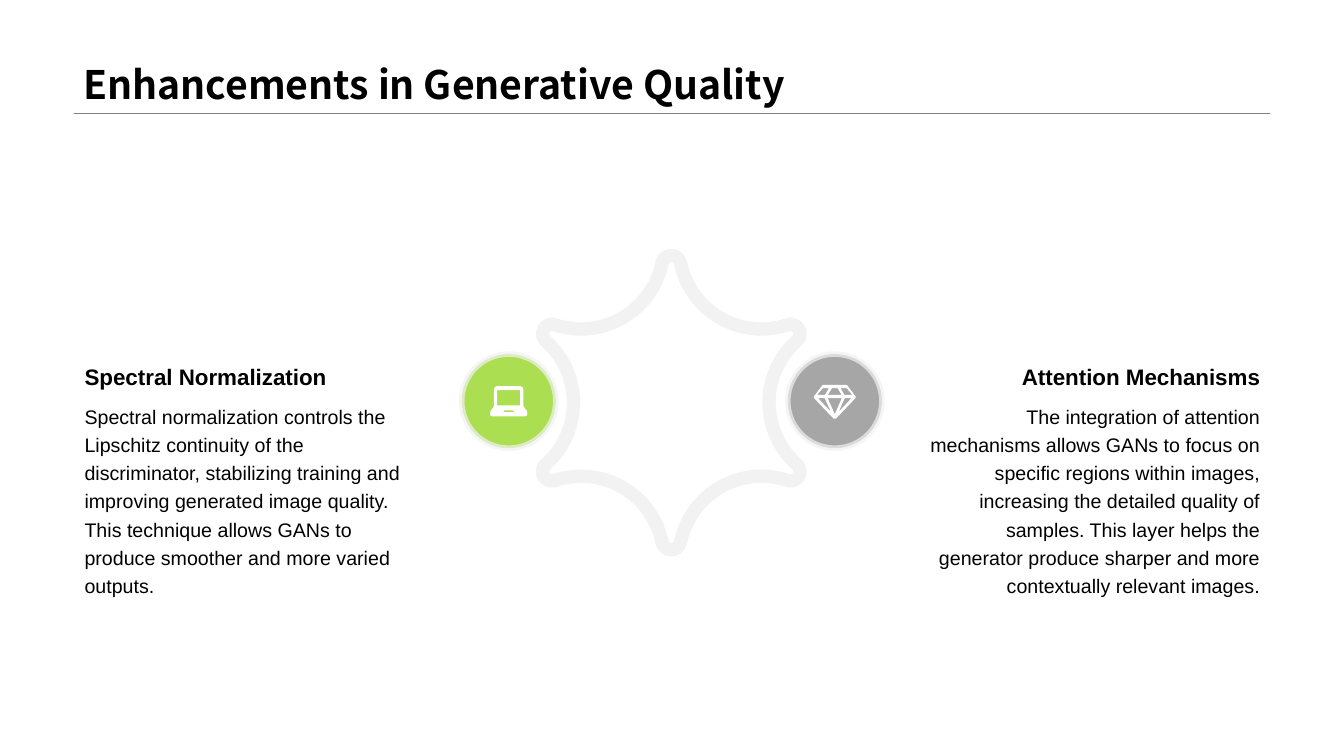
from math import atan2, cos, hypot, pi, radians, sin

from lxml.etree import SubElement
from pptx import Presentation
from pptx.dml.color import RGBColor
from pptx.enum.shapes import MSO_CONNECTOR, MSO_SHAPE
from pptx.enum.text import MSO_ANCHOR, MSO_AUTO_SIZE, PP_ALIGN
from pptx.oxml.ns import qn
from pptx.util import Pt

TITLE = "Enhancements in Generative Quality"
TOPICS = [
    {
        "heading": "Spectral Normalization",
        "body": "Spectral normalization controls the Lipschitz continuity of the "
                "discriminator, stabilizing training and improving generated image "
                "quality. This technique allows GANs to produce smoother and more "
                "varied outputs.",
        "left": 53.3, "align": PP_ALIGN.LEFT,
        "badge_x": 363.4, "color": "ABDE51", "icon": "laptop",
    },
    {
        "heading": "Attention Mechanisms",
        "body": "The integration of attention mechanisms allows GANs to focus on "
                "specific regions within images, increasing the detailed quality of "
                "samples. This layer helps the generator produce sharper and more "
                "contextually relevant images.",
        "left": 656.6, "align": PP_ALIGN.RIGHT,
        "badge_x": 596.3, "color": "A6A6A6", "icon": "diamond",
    },
]

# Right halves of icon outlines, in points from the badge centre
LAPTOP_HALVES = [
    [(8.3, -10.7), (9.8, -10), (10.5, -8.5), (10.5, 3.7), (13.1, 7.3),
     (13.3, 9.5), (12.9, 10.5), (11.7, 10.9)],
    [(8.2, -7.8), (8.2, 3)],
    [(3.2, 6.6), (3.9, 8)],
]
DIAMOND_HALVES = [
    [(8.3, -11.5), (9.1, -11), (15, -3.1), (14.9, -2.2), (0.8, 12.6)],
    [(1.9, -9.3), (5, -4.3)],
    [(5.1, -2.1), (0, 9.4)],
]
DIAMOND_SIDES = [
    [(12.7, -4.3), (8.4, -9.3), (4.1, -9.3), (7, -4.3)],
    [(12, -2.1), (7.2, -2.1), (2.7, 7.8)],
]

BADGE_Y, BADGE_RADIUS = 286.5, 33.6
STAR_CENTER = (479.5, 287.6)
TIP_DISTANCE, VALLEY_DISTANCE = 98.3, 128.9
STAR_CAPS = [11.5, 2]  # tip radii of the outer and inner edges

deck = Presentation()
deck.slide_width, deck.slide_height = Pt(960), Pt(540)
page = deck.slides.add_slide(deck.slide_layouts[6])


def rgb(value):
    return RGBColor.from_string(value)


def add_outline(contours, center, color):
    """Draw contours, given around center, as one shape; inner ones are holes."""
    placed = [[(Pt(center[0] + x), Pt(center[1] + y)) for x, y in contour]
              for contour in contours]
    builder = page.shapes.build_freeform(*placed[0][0], scale=1.0)
    builder.add_line_segments(placed[0][1:], close=True)
    for contour in placed[1:]:
        builder.move_to(*contour[0])
        builder.add_line_segments(contour[1:], close=True)
    shape = builder.convert_to_shape()
    shape.shadow.inherit = False
    shape.fill.solid()
    shape.fill.fore_color.rgb = rgb(color)
    shape.line.fill.background()


def flip(points):
    return [(-x, y) for x, y in points]


def mirror(half):
    """Complete a right half with its reflection."""
    return half + flip(half)[::-1]


def arc(center, radius, start, end, steps=24):
    angles = [start + (end - start) * step / steps for step in range(steps + 1)]
    return [(center[0] + radius * cos(a), center[1] + radius * sin(a)) for a in angles]


def polar(distance, angle):
    return distance * cos(angle), distance * sin(angle)


def star_edge(cap):
    """Six concave arcs joined by round tips, tangent where they meet."""
    tip_x, tip_y = polar(TIP_DISTANCE, radians(30))
    reach = hypot(tip_x - VALLEY_DISTANCE, tip_y)
    turn = atan2(tip_y, tip_x - VALLEY_DISTANCE)
    points = []
    for side in range(6):
        angle = radians(60 * side)
        points += arc(polar(VALLEY_DISTANCE, angle), reach - cap,
                      angle + 2 * pi - turn, angle + turn)
        points += arc(polar(TIP_DISTANCE, angle + radians(30)), cap,
                      angle + turn - pi, angle + radians(60) + pi - turn)
    return points


def add_text(text, place, size, font, bold=False, align=PP_ALIGN.LEFT, spacing=1.0):
    box = page.shapes.add_textbox(*[Pt(length) for length in place])
    frame = box.text_frame
    frame.word_wrap = True
    frame.text = text
    para = frame.paragraphs[0]
    para.alignment = align
    para.line_spacing = spacing
    span = para.runs[0]
    span.font.name = font
    span.font.size = Pt(size)
    span.font.bold = bold
    span.font.color.rgb = rgb("000000")
    return frame


def add_badge(center_x, color):
    badge = page.shapes.add_shape(
        MSO_SHAPE.OVAL, Pt(center_x - BADGE_RADIUS), Pt(BADGE_Y - BADGE_RADIUS),
        Pt(2 * BADGE_RADIUS), Pt(2 * BADGE_RADIUS))
    badge.shadow.inherit = False
    badge.fill.solid()
    badge.fill.fore_color.rgb = rgb(color)
    badge.line.color.rgb = rgb("F2F2F2")
    badge.line.width = Pt(4)
    line_color = badge.line.fill.fore_color
    line_color.rgb = rgb("F2F2F2")
    for node in badge.line._get_or_add_ln().iter(qn("a:srgbClr")):
        SubElement(node, qn("a:alpha"), val="70000")


rule = page.shapes.add_connector(MSO_CONNECTOR.STRAIGHT,
                                 Pt(52.6), Pt(80.9), Pt(907.2), Pt(80.9))
rule.line.color.rgb = rgb("808080")
rule.line.width = Pt(0.25)
SubElement(rule._element.spPr, qn("a:effectLst"))

title = add_text(TITLE, (52.6, 0, 854.6, 80.9), 28, "Noto Sans CJK SC",
                 bold=True, spacing=0.9)
title.vertical_anchor = MSO_ANCHOR.BOTTOM

icons = {
    "laptop": [mirror(half) for half in LAPTOP_HALVES],
    "diamond": [mirror(half) for half in DIAMOND_HALVES]
               + DIAMOND_SIDES + [flip(side) for side in DIAMOND_SIDES],
}
for topic in TOPICS:
    add_badge(topic["badge_x"], topic["color"])
    add_outline(icons[topic["icon"]], (topic["badge_x"], BADGE_Y), "FFFFFF")

add_outline([star_edge(cap) for cap in STAR_CAPS], STAR_CENTER, "F2F2F2")

for topic in TOPICS:
    for text, top, height, size, bold, spacing in [
        (topic["body"], 282.2, 46.1, 14, False, 1.2),
        (topic["heading"], 254.2, 26.6, 16, True, 1.1),
    ]:
        frame = add_text(text, (topic["left"], top, 250.6, height), size, "Arial",
                         bold, topic["align"], spacing)
        frame.auto_size = MSO_AUTO_SIZE.SHAPE_TO_FIT_TEXT

deck.save("out.pptx")
